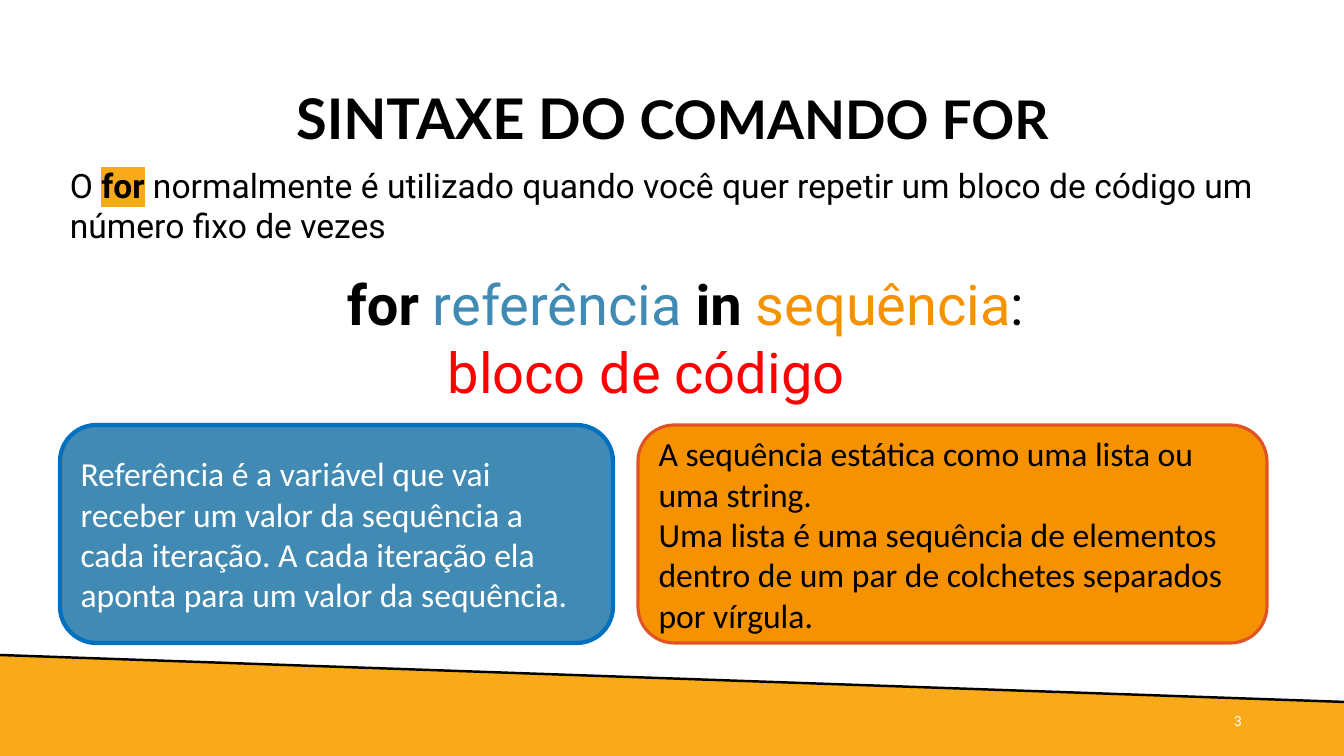
from lxml import etree
from pptx import Presentation
from pptx import util as u
from pptx.dml.color import RGBColor
from pptx.enum import shapes, text
from pptx.oxml import ns

SCALE = 914400 / 100.8  # EMU in one px
BLACK, WHITE, RED = "000000", "FFFFFF", "FF0000"
GOLD, BLUE, ORANGE = "F9AA19", "418AB3", "F69200"
MID, TOP = text.MSO_ANCHOR.MIDDLE, text.MSO_ANCHOR.TOP
LEFT, CENTER, RIGHT = text.PP_ALIGN.LEFT, text.PP_ALIGN.CENTER, text.PP_ALIGN.RIGHT


def px(n):
    return u.Emu(round(n * SCALE))


def rgb(code):
    return RGBColor.from_string(code)


def add_run(para, words, font, size, color=BLACK, bold=False, mark=None):
    run = para.add_run()
    run.text = words
    run.font.size = u.Pt(size)
    run.font.bold = bold
    run.font.color.rgb = rgb(color)
    run.font.name = font
    if mark:
        # The highlight must stand before the typeface
        light = etree.Element(ns.qn("a:highlight"))
        etree.SubElement(light, ns.qn("a:srgbClr")).set("val", mark)
        run.font._element.find(ns.qn("a:latin")).addprevious(light)


def fill_text(frame, paras, font, align=LEFT, anchor=TOP):
    """Each paragraph is a list of (words, size, color, bold, mark)."""
    frame.word_wrap = True
    frame.vertical_anchor = anchor
    for i, runs in enumerate(paras):
        para = frame.add_paragraph() if i else frame.paragraphs[0]
        para.alignment = align
        for words, *style in runs:
            add_run(para, words, font, *style)


def add_text(slide, box, paras, font, **opts):
    frame = slide.shapes.add_textbox(*map(px, box)).text_frame
    fill_text(frame, paras, font, **opts)
    return frame


def add_card(slide, box, fill, edge, width, color, lines):
    card = slide.shapes.add_shape(shapes.MSO_SHAPE.ROUNDED_RECTANGLE, *map(px, box))
    card.shadow.inherit = False
    card.fill.solid()
    card.fill.fore_color.rgb = rgb(fill)
    card.line.color.rgb = rgb(edge)
    card.line.width = u.Pt(width)
    paras = [[(line, 24, color)] for line in lines]
    fill_text(card.text_frame, paras, "Calibri", anchor=MID)


def add_band(slide, start, end, base):
    # Slanted footer
    form = slide.shapes.build_freeform(*start, scale=SCALE)
    form.add_line_segments([end, (end[0], base), (start[0], base)], close=True)
    band = form.convert_to_shape()
    band.shadow.inherit = False
    band.fill.solid()
    band.fill.fore_color.rgb = rgb(GOLD)
    band.line.fill.background()

    # Its upper edge
    edge = slide.shapes.add_connector(
        shapes.MSO_CONNECTOR.STRAIGHT, *map(px, start + end))
    edge.line.color.rgb = rgb(BLACK)
    edge.line.width = u.Pt(1.75)
    etree.SubElement(edge._element.spPr, ns.qn("a:effectLst"))


def main():
    deck = Presentation()
    deck.slide_width, deck.slide_height = px(1344), px(756)
    slide = deck.slides.add_slide(deck.slide_layouts[6])

    add_band(slide, (-1, 655), (1346, 702), 759)

    # Title, set a little below the middle of its box
    title = add_text(slide, (93, 40, 1159, 146), [[
        ("SINTAXE DO ", 40, BLACK, True), ("COMANDO FOR", 38, BLACK, True),
    ]], "Lato", align=CENTER, anchor=MID)
    title.margin_top = px(21)
    title.paragraphs[0].line_spacing = 0.9

    # Page number
    add_text(slide, (950, 701, 302, 40), [[("3", 10, WHITE)]], "Roboto",
             align=RIGHT, anchor=MID)

    # Introduction
    add_text(slide, (60, 160, 1223, 92), [[
        ("O ", 24),
        ("for", 24, BLACK, True, GOLD),
        (" normalmente é utilizado quando você quer repetir um bloco de "
         "código um número fixo de vezes", 24),
    ]], "Roboto")

    # Syntax, with the body of the loop indented
    syntax = add_text(slide, (337, 265, 721, 146), [
        [("for ", 40, BLACK, True), ("referência ", 40, BLUE),
         ("in ", 40, BLACK, True), ("sequência", 40, ORANGE), (":", 40)],
        [("bloco de código", 40, RED)],
    ], "Roboto")
    syntax.paragraphs[1]._p.get_or_add_pPr().set("marL", str(u.Inches(1)))

    # Explanations
    add_card(slide, (60, 425, 553, 218), BLUE, "0070C0", 3, WHITE, [
        "Referência é a variável que vai receber um valor da sequência a cada "
        "iteração. A cada iteração ela aponta para um valor da sequência."])
    add_card(slide, (638, 425, 629, 218), ORANGE, "DF5327", 2.25, BLACK, [
        "A sequência estática como uma lista ou uma string.",
        "Uma lista é uma sequência de elementos dentro de um par de colchetes "
        "separados por vírgula."])

    deck.save("out.pptx")


if __name__ == "__main__":
    main()
